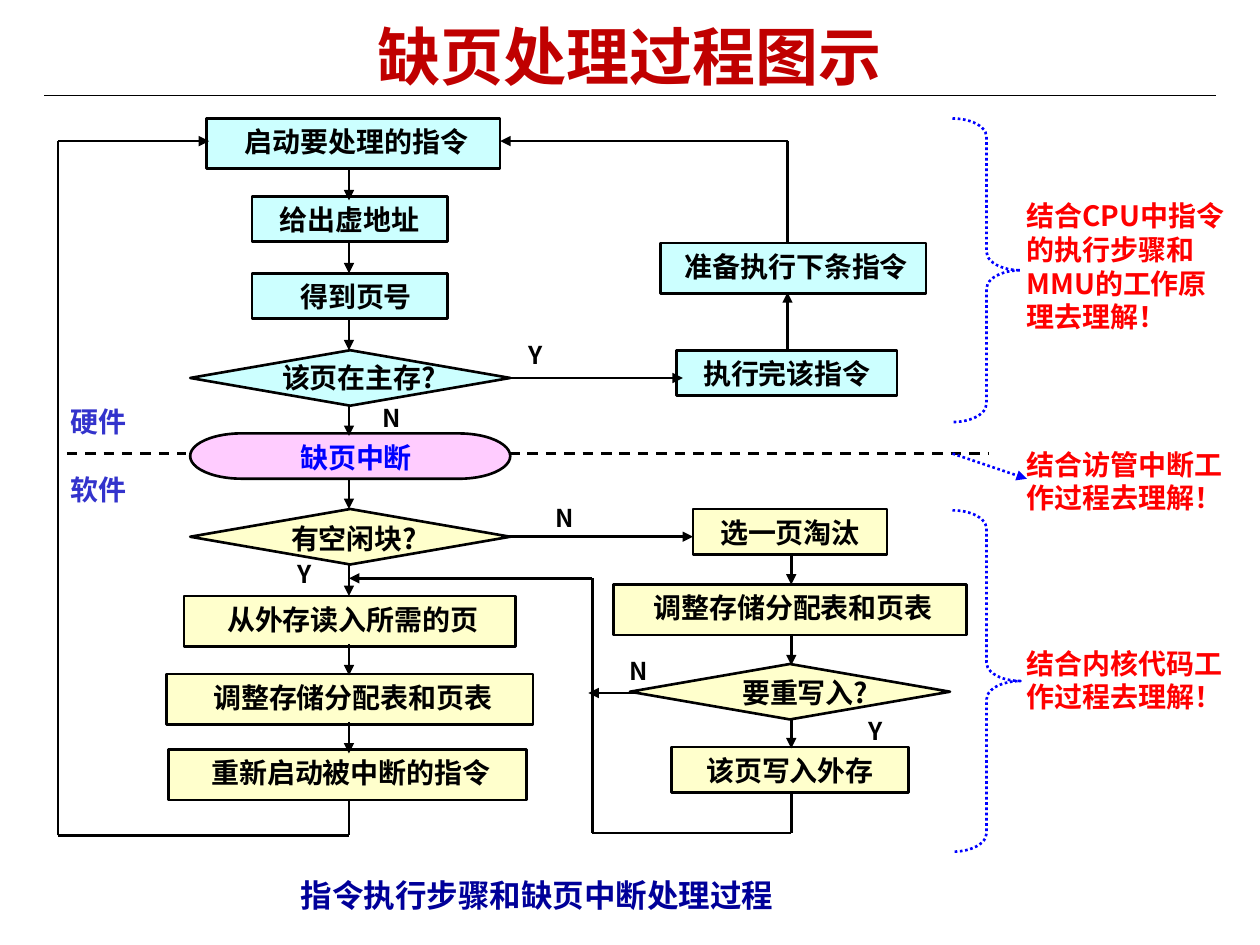
import itertools

import pptx
import pptx.dml.color
import pptx.enum.dml
import pptx.enum.shapes
import pptx.enum.text
import pptx.oxml
import pptx.oxml.ns
import pptx.util

Inches = pptx.util.Inches
Pt = pptx.util.Pt
PRESET = pptx.enum.shapes.MSO_SHAPE
DASH = pptx.enum.dml.MSO_LINE
CENTER = pptx.enum.text.PP_ALIGN.CENTER
LEFT = pptx.enum.text.PP_ALIGN.LEFT

THEME = {
    "font": "Noto Sans CJK SC",
    "title": 36, "caption": 18, "body": 16, "branch": 14,
    "black": "000000", "title_red": "C00000", "note_red": "FF0000",
    "blue": "0000FF", "navy": "000099", "layer": "3333CC",
    "hardware": "CCFFFF", "software": "FFFFCC", "interrupt": "FFCCFF",
    "line": 1.5, "rule": 0.75,
}

SPINE, RIGHT_TOP, RIGHT_LOW = 2.77, 6.25, 6.28   # centre lines of the columns
LOOP_X, MERGE_X, BRACE_X = 0.46, 4.7, 7.56

# text, left, top, width, height, fill, shift of the text to the right
STEPS = [
    ("启动要处理的指令", 1.64, 0.94, 2.33, 0.4, "hardware", 0.05),
    ("给出虚地址", 2, 1.56, 1.55, 0.36, "hardware", 0),
    ("得到页号", 2, 2.17, 1.55, 0.36, "hardware", 0.1),
    ("执行完该指令", 5.37, 2.78, 1.75, 0.36, "hardware", 0),
    ("准备执行下条指令", 5.24, 1.93, 2.11, 0.4, "hardware", 0.05),
    ("选一页淘汰", 5.5, 4.04, 1.54, 0.36, "software", 0),
    ("从外存读入所需的页", 1.46, 4.73, 2.63, 0.4, "software", 0.05),
    ("调整存储分配表和页表", 1.32, 5.35, 2.91, 0.4, "software", 0.05),
    ("重新启动被中断的指令", 1.34, 5.95, 2.84, 0.4, "software", 0.05),
    ("调整存储分配表和页表", 4.87, 4.64, 2.8, 0.4, "software", 0.05),
    ("该页写入外存", 5.33, 5.93, 1.88, 0.36, "software", 0),
]

# text, outline left and top, text left and top, fill
DECISIONS = [
    ("该页在主存?", 1.51, 2.78, 2.08, 2.81, "hardware"),
    ("有空闲块?", 1.51, 4.04, 2.04, 4.09, "software"),
    ("要重写入?", 5, 5.27, 5.62, 5.31, "software"),
]

SPINE_ARROWS = [(1.35, 1.59), (1.93, 2.17), (2.53, 2.78), (3.22, 3.46),
                (3.8, 4.04), (4.48, 4.73), (5.11, 5.36), (5.73, 5.98)]
RIGHT_ARROWS = [(4.39, 4.64), (5.04, 5.28), (5.7, 5.94)]

# Routes end in an arrowhead
ROUTES = [
    [(SPINE, 6.35), (SPINE, 6.63), (LOOP_X, 6.63), (LOOP_X, 1.12), (1.66, 1.12)],
    [(4.04, 3), (5.42, 3)],
    [(RIGHT_TOP, 2.78), (RIGHT_TOP, 2.32)],
    [(RIGHT_TOP, 1.92), (RIGHT_TOP, 1.12), (3.97, 1.12)],
    [(4.04, 4.26), (5.5, 4.26)],
    [(RIGHT_LOW, 6.29), (RIGHT_LOW, 6.61), (MERGE_X, 6.61), (MERGE_X, 4.59),
     (SPINE, 4.59)],
    [(5.08, 5.5), (4.67, 5.5)],
]
ROUTES += [[(SPINE, start), (SPINE, end)] for start, end in SPINE_ARROWS]
ROUTES += [[(RIGHT_LOW, start), (RIGHT_LOW, end)] for start, end in RIGHT_ARROWS]

BOUNDARY = [(0.53, 1.48), (4.04, 7.85)]
BOUNDARY_Y = 3.6

BRANCHES = [("Y", 2.09, 4.39), ("N", 4.15, 3.94), ("N", 2.78, 3.15),
            ("Y", 3.92, 2.65), ("Y", 6.62, 5.63), ("N", 4.74, 5.16)]
LAYERS = [("硬件", 3.16), ("软件", 3.7)]
NOTES = [("结合CPU中指令的执行步骤和MMU的工作原理去理解！", 1.53, 1.18),
         ("结合访管中断工作过程去理解！", 3.5, 0.69),
         ("结合内核代码工作过程去理解！", 5.08, 0.69)]
BRACES = [(0.94, 2.41), (4.05, 2.71)]


def rgb(name):
    return pptx.dml.color.RGBColor.from_string(THEME[name])


def write(shape, text, size="body", color="black", align=CENTER, shift=0, inset=0.05):
    """Write one bold run; shift moves it right and inset is its top margin."""
    frame = shape.text_frame
    frame.word_wrap = True
    frame.vertical_anchor = pptx.enum.text.MSO_ANCHOR.TOP
    frame.margin_left, frame.margin_right = Inches(0.1 + shift), Inches(0.1)
    frame.margin_top, frame.margin_bottom = Inches(inset), Inches(0.05)
    paragraph = frame.paragraphs[0]
    paragraph.alignment = align
    run = paragraph.add_run()
    run.text = text
    run.font.size, run.font.bold = Pt(THEME[size]), True
    run.font.color.rgb = rgb(color)
    run.font.name = THEME["font"]
    east_asian = pptx.oxml.parse_xml(
        '<a:ea %s typeface="%s"/>' % (pptx.oxml.ns.nsdecls("a"), THEME["font"]))
    run._r.get_or_add_rPr().append(east_asian)


def add_label(slide, text, left, top, width, height, **style):
    box = slide.shapes.add_textbox(*map(Inches, (left, top, width, height)))
    write(box, text, **style)


def add_outline(slide, preset, left, top, width, height, fill=None, line="black"):
    shape = slide.shapes.add_shape(preset, *map(Inches, (left, top, width, height)))
    shape.shadow.inherit = False
    if fill:
        shape.fill.solid()
        shape.fill.fore_color.rgb = rgb(fill)
    else:
        shape.fill.background()
    shape.line.color.rgb = rgb(line)
    shape.line.width = Pt(THEME["line"])
    return shape


def add_line(slide, start, end, arrow=False, color="black", width="line", dash=None):
    line = slide.shapes.add_connector(
        pptx.enum.shapes.MSO_CONNECTOR.STRAIGHT, *map(Inches, start + end))
    line.line.color.rgb = rgb(color)
    line.line.width = Pt(THEME[width])
    if dash:
        line.line.dash_style = dash
    namespace = pptx.oxml.ns.nsdecls("a")
    if arrow:
        line.line._get_or_add_ln().append(
            pptx.oxml.parse_xml('<a:tailEnd %s type="triangle"/>' % namespace))
    line._element.spPr.append(pptx.oxml.parse_xml("<a:effectLst %s/>" % namespace))


def add_route(slide, points):
    """Join the points with straight lines, the last one with an arrowhead."""
    for start, end in itertools.pairwise(points):
        add_line(slide, start, end, arrow=end == points[-1])


def main():
    deck = pptx.Presentation()
    deck.slide_width, deck.slide_height = Inches(10), Inches(7.5)
    slide = deck.slides.add_slide(deck.slide_layouts[6])

    add_line(slide, (0.35, 0.76), (9.65, 0.76), width="rule")
    add_label(slide, "缺页处理过程图示", 0.37, 0, 9.25, 0.75,
              size="title", color="title_red", inset=0.14)

    for text, left, top, width, height, fill, shift in STEPS:
        step = add_outline(slide, PRESET.RECTANGLE, left, top, width, height, fill)
        write(step, text, shift=shift)
    for text, left, top, text_left, text_top, fill in DECISIONS:
        add_outline(slide, PRESET.FLOWCHART_DECISION, left, top, 2.54, 0.44, fill)
        add_label(slide, text, text_left, text_top, 1.54, 0.36)
    add_outline(slide, PRESET.FLOWCHART_TERMINATOR, 1.51, 3.44, 2.54, 0.36, "interrupt")
    add_label(slide, "缺页中断", 2, 3.45, 1.55, 0.36, color="blue", shift=0.1)

    for points in ROUTES:
        add_route(slide, points)
    for start, end in BOUNDARY:
        add_line(slide, (start, BOUNDARY_Y), (end, BOUNDARY_Y), dash=DASH.DASH)

    for text, left, top in BRANCHES:
        add_label(slide, text, left, top, 0.66, 0.39, size="branch")
    for text, top in LAYERS:
        add_label(slide, text, 0.32, top, 0.92, 0.44, color="layer")

    for top, height in BRACES:
        brace = add_outline(slide, PRESET.RIGHT_BRACE, BRACE_X, top, 0.54, height,
                            line="blue")
        brace.adjustments[0] = 0.27
        brace.line.dash_style = DASH.ROUND_DOT
    add_line(slide, (BRACE_X, BOUNDARY_Y), (8.15, 3.8), arrow=True, color="blue",
             dash=DASH.ROUND_DOT)
    for text, top, height in NOTES:
        add_label(slide, text, 8.05, top, 1.77, height, color="note_red", align=LEFT)

    add_label(slide, "指令执行步骤和缺页中断处理过程", 2.29, 6.9, 4.48, 0.4,
              size="caption", color="navy", align=LEFT)
    deck.save("out.pptx")


if __name__ == "__main__":
    main()
